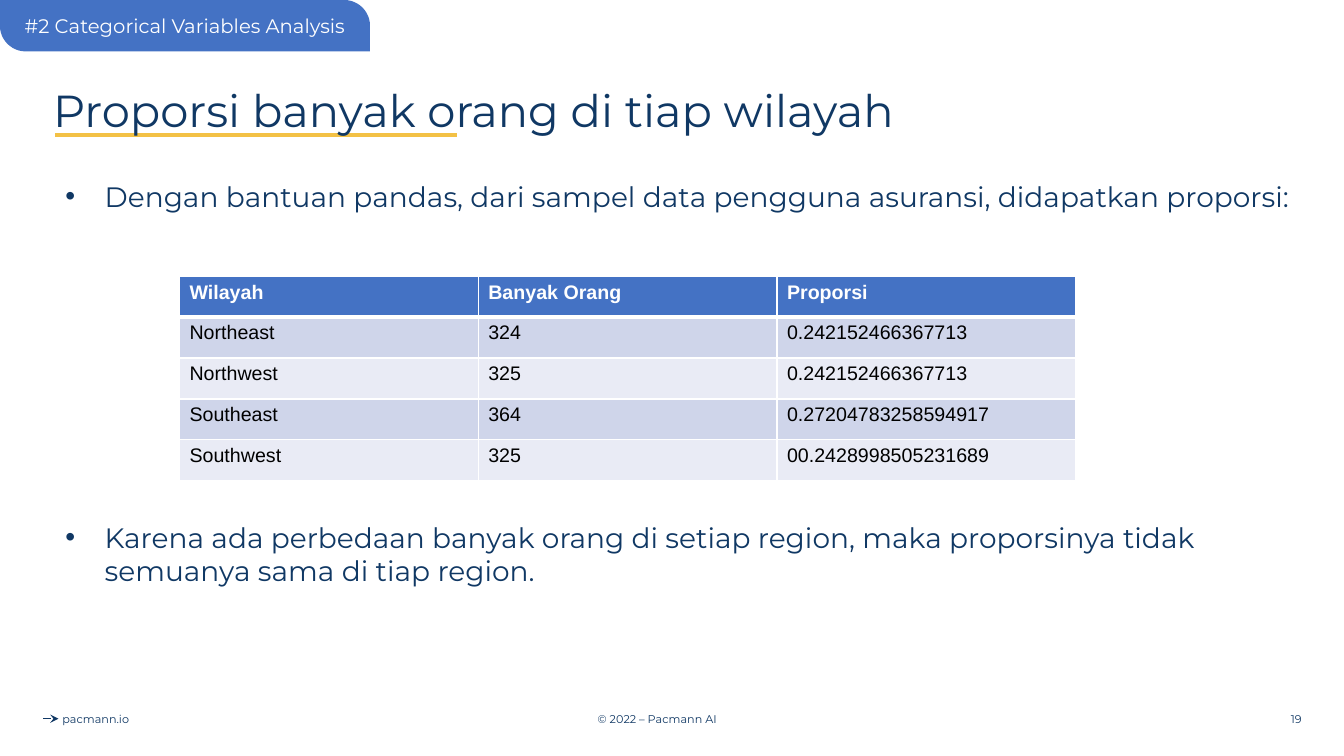
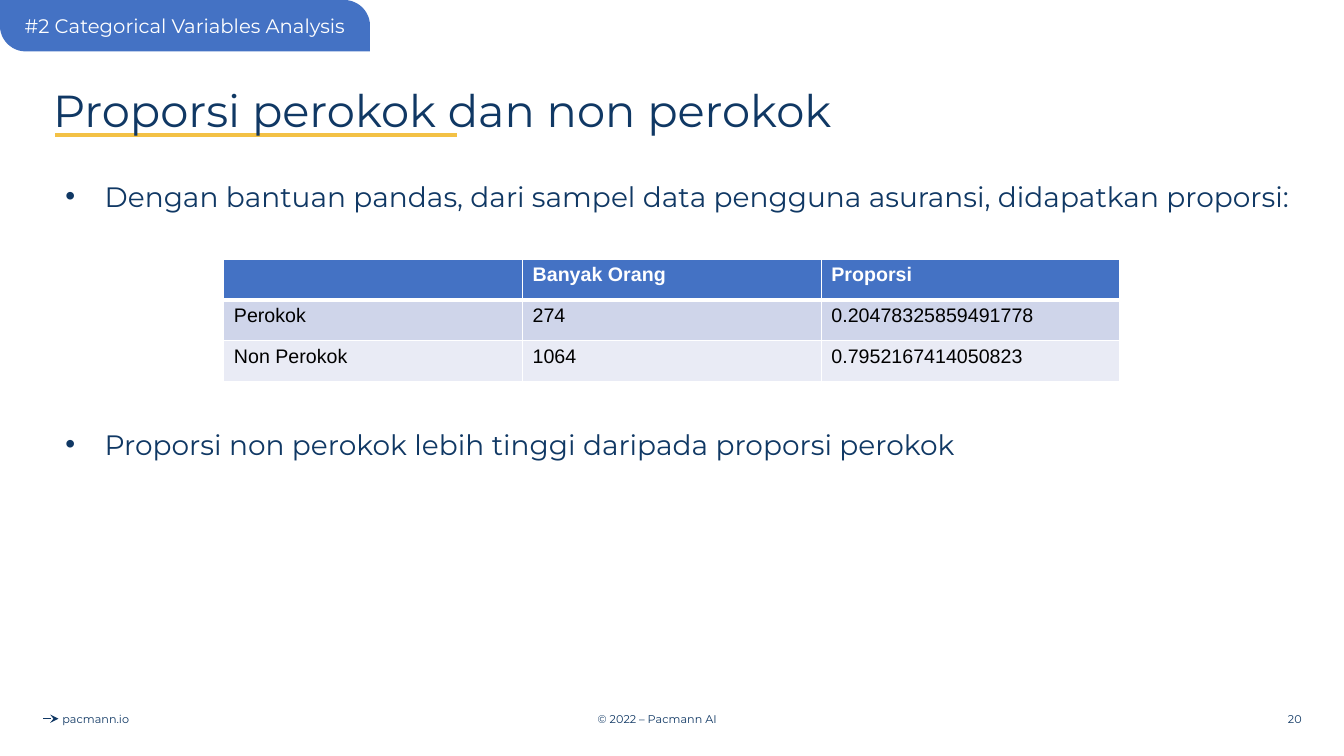
from lxml.etree import SubElement
from pptx import Presentation
from pptx.dml.color import RGBColor
from pptx.enum.shapes import MSO_CONNECTOR, MSO_SHAPE
from pptx.enum.text import MSO_ANCHOR, PP_ALIGN
from pptx.oxml.ns import qn
from pptx.util import Inches, Pt

NAVY, BLUE, GOLD, WHITE, BLACK = "103864", "4472C4", "F3C145", "FFFFFF", "000000"
BANDS = ("CFD5EA", "E9EBF5")
BRAND_FONT, TABLE_FONT = "Montserrat", "Arial"
COLUMN_WIDTH, ROW_HEIGHT = 2.963, 0.406
INTRO = "Dengan bantuan pandas, dari sampel data pengguna asuransi, didapatkan proporsi:"

PAGES = [
    {
        "number": 19,
        "title": "Proporsi banyak orang di tiap wilayah",
        "table_at": (1.78, 2.74),
        "rows": [
            ("Wilayah", "Banyak Orang", "Proporsi"),
            ("Northeast", "324", "0.242152466367713"),
            ("Northwest", "325", "0.242152466367713"),
            ("Southeast", "364", "0.27204783258594917"),
            ("Southwest", "325", "00.2428998505231689"),
        ],
        "conclusion": "Karena ada perbedaan banyak orang di setiap region, maka "
                      "proporsinya tidak semuanya sama di tiap region.",
        "conclusion_box": (0.44, 5.11, 12.46, 0.77),
    },
    {
        "number": 20,
        "title": "Proporsi perokok dan non perokok",
        "table_at": (2.22, 2.57),
        "rows": [
            ("", "Banyak Orang", "Proporsi"),
            ("Perokok", "274", "0.20478325859491778"),
            ("Non Perokok", "1064", "0.7952167414050823"),
        ],
        "conclusion": "Proporsi non perokok lebih tinggi daripada proporsi perokok",
        "conclusion_box": (0.44, 4.19, 12.46, 0.44),
    },
]


def color(value):
    return RGBColor.from_string(value)


def write(frame, text, size, tint=NAVY, font=BRAND_FONT, bold=False,
          align=PP_ALIGN.LEFT):
    """Fill a text frame with one formatted paragraph and return it."""
    para = frame.paragraphs[0]
    para.text = text
    para.alignment = align
    for span in para.runs:
        span.font.name = font
        span.font.size = Pt(size)
        span.font.bold = bold
        span.font.color.rgb = color(tint)
    return para


def add_text(slide, box, text, size, align=PP_ALIGN.LEFT, anchor=MSO_ANCHOR.MIDDLE):
    frame = slide.shapes.add_textbox(*map(Inches, box)).text_frame
    frame.word_wrap = True
    frame.vertical_anchor = anchor
    return write(frame, text, size, align=align)


def add_line(slide, left, right, y, tint, width):
    line = slide.shapes.add_connector(
        MSO_CONNECTOR.STRAIGHT, Inches(left), Inches(y), Inches(right), Inches(y))
    line.line.color.rgb = color(tint)
    line.line.width = Pt(width)
    SubElement(line._element.spPr, qn("a:effectLst"))
    return line


def add_footer(slide, number, top=6.93, height=0.4):
    arrow = add_line(slide, 0.43, 0.58, top + height / 2, NAVY, 0.75)
    SubElement(arrow.line._get_or_add_ln(), qn("a:tailEnd"), type="stealth")
    for left, width, text, align in (
        (0.2, 1.5, "pacmann.io", PP_ALIGN.CENTER),
        (4.27, 4.5, "© 2022 – Pacmann AI", PP_ALIGN.CENTER),
        (10.01, 3, str(number), PP_ALIGN.RIGHT),
    ):
        add_text(slide, (left, top, width, height), text, 8, align)


def add_title(slide, text):
    add_line(slide, 0.55, 4.53, 1.34, GOLD, 2.25)
    add_text(slide, (0.43, 0.4, 12.47, 1.45), text, 32).line_spacing = 0.9


def add_section_tab(slide, text):
    tab = slide.shapes.add_shape(
        MSO_SHAPE.ROUND_2_DIAG_RECTANGLE, 0, 0, Inches(3.67), Inches(0.51))
    tab.adjustments[0], tab.adjustments[1] = 0, 0.5
    tab.shadow.inherit = False
    tab.fill.solid()
    tab.fill.fore_color.rgb = color(BLUE)
    tab.line.fill.background()
    tab.text_frame.vertical_anchor = MSO_ANCHOR.MIDDLE
    write(tab.text_frame, text, 14, WHITE, align=PP_ALIGN.CENTER)


def add_bullet(slide, box, text):
    para = add_text(slide, box, text, 20, anchor=MSO_ANCHOR.TOP)
    properties = para._p.get_or_add_pPr()
    properties.set("marL", str(Inches(0.5)))
    properties.set("indent", str(Inches(-0.39)))
    tint = SubElement(properties, qn("a:buClr"))
    SubElement(tint, qn("a:srgbClr"), val=NAVY)
    SubElement(properties, qn("a:buFont"), typeface="Arial")
    SubElement(properties, qn("a:buChar"), char="•")


def set_borders(cell, top, bottom):
    """Draw white cell borders; top and bottom are widths in points."""
    properties = cell._tc.get_or_add_tcPr()
    for side, width in (("L", 1), ("R", 1), ("T", top), ("B", bottom)):
        edge = SubElement(properties, qn(f"a:ln{side}"), w=str(Pt(width)))
        fill = SubElement(edge, qn("a:solidFill"))
        SubElement(fill, qn("a:srgbClr"), val=WHITE)


def add_data_table(slide, left, top, rows):
    columns = len(rows[0])
    table = slide.shapes.add_table(
        len(rows), columns, Inches(left), Inches(top),
        Inches(COLUMN_WIDTH * columns), Inches(ROW_HEIGHT * len(rows))).table
    for column in table.columns:
        column.width = Inches(COLUMN_WIDTH)
    for row_index, values in enumerate(rows):
        header = row_index == 0
        table.rows[row_index].height = Inches(ROW_HEIGHT)
        for column_index, value in enumerate(values):
            cell = table.cell(row_index, column_index)
            set_borders(cell, top=3 if row_index == 1 else 1, bottom=3 if header else 1)
            cell.fill.solid()
            cell.fill.fore_color.rgb = color(BLUE if header else BANDS[(row_index - 1) % 2])
            write(cell.text_frame, value, 14, WHITE if header else BLACK,
                  TABLE_FONT, bold=header)


def add_proportion_slide(deck, page):
    slide = deck.slides.add_slide(deck.slide_layouts[6])
    add_footer(slide, page["number"])
    add_title(slide, page["title"])
    add_bullet(slide, (0.44, 1.73, 12.46, 0.44), INTRO)
    add_data_table(slide, *page["table_at"], page["rows"])
    add_bullet(slide, page["conclusion_box"], page["conclusion"])
    add_section_tab(slide, "#2 Categorical Variables Analysis")


def main():
    deck = Presentation()
    deck.slide_width, deck.slide_height = Inches(13.33), Inches(7.5)
    for page in PAGES:
        add_proportion_slide(deck, page)
    deck.save("out.pptx")


if __name__ == "__main__":
    main()
